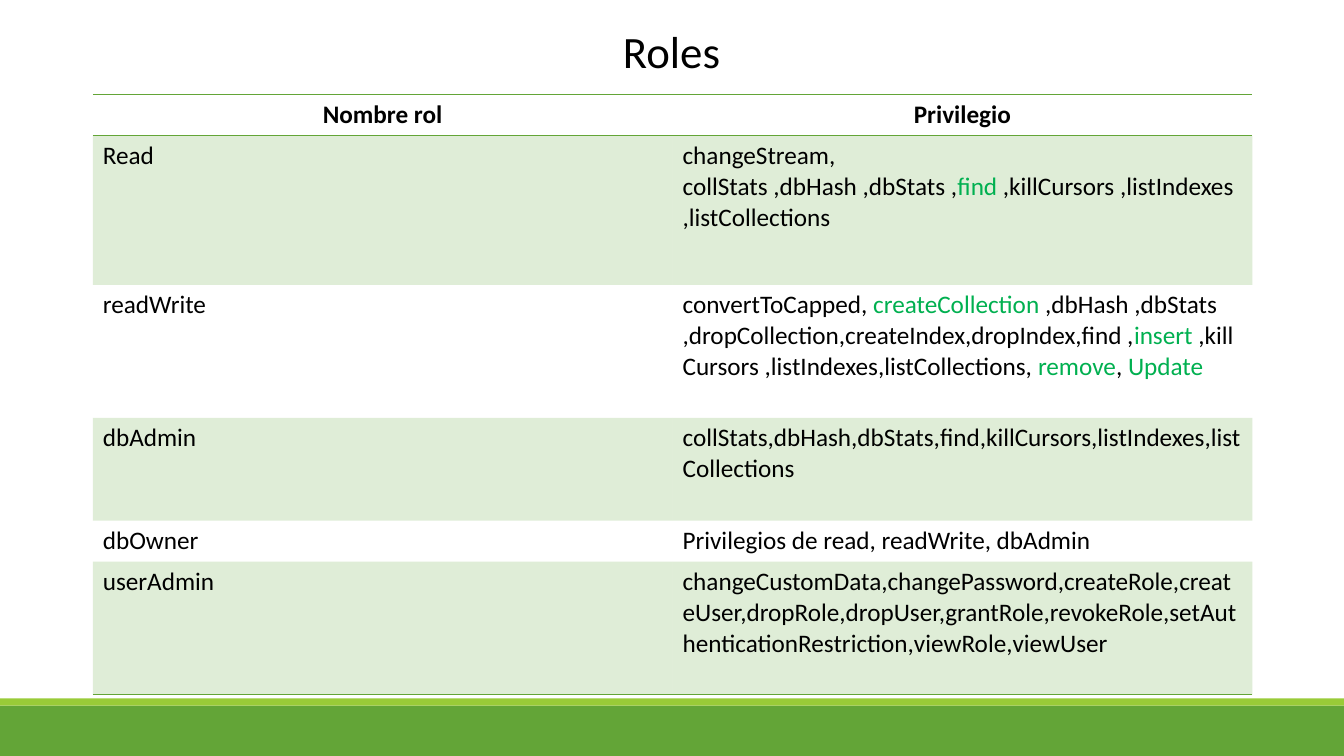
import pptx
import pptx.util
import pptx.dml.color
import pptx.enum.shapes
import pptx.enum.text
import pptx.oxml
import pptx.oxml.ns
import lxml.etree

WIDE, HIGH = 13.33, 7.5
HUES = {"green": "63A537", "lime": "99CB38", "key": "00B050", "ink": "000000"}
HEAD = ["Nombre rol", "Privilegio"]
ROLES = [
    ("Read", 1.48, ["changeStream, collStats ,dbHash ,dbStats ,*find* ,killCursors ,listIndexes ,listCollections"]),
    ("readWrite", 1.32, [
        "convertToCapped, *createCollection* ,dbHash ,dbStats",
        ",dropCollection,createIndex,dropIndex,find ,*insert* ,killCursors ,listIndexes,listCollections, *remove*, *Update*",
    ]),
    ("dbAdmin", 1.02, ["collStats,dbHash,dbStats,find,killCursors,listIndexes,listCollections"]),
    ("dbOwner", 0.4, ["Privilegios de read, readWrite, dbAdmin"]),
    ("userAdmin", 1.32, [
        "changeCustomData,changePassword,createRole,createUser,dropRole,dropUser,"
        "grantRole,revokeRole,setAuthenticationRestriction,viewRole,viewUser",
    ]),
]
PLAIN = "{2D5ABB26-0587-4C30-8999-92F81FD0307C}"


def inch(box):
    return [pptx.util.Inches(n) for n in box]


def tint(name):
    return pptx.dml.color.RGBColor.from_string(HUES[name])


def write(frame, lines, size=18, bold=False, center=False):
    for i, line in enumerate(lines):
        para = frame.add_paragraph() if i else frame.paragraphs[0]
        if center:
            para.alignment = pptx.enum.text.PP_ALIGN.CENTER
        bound = line.replace(" ,", chr(160) + ",")
        for j, part in enumerate(bound.split("*")):
            if part:
                run = para.add_run()
                run.text = part
                run.font.size = pptx.util.Pt(size)
                run.font.name = "Calibri"
                run.font.bold = bold
                run.font.color.rgb = tint("key" if j % 2 else "ink")


def edge(cell, side):
    line = lxml.etree.SubElement(
        cell._tc.get_or_add_tcPr(), pptx.oxml.ns.qn("a:ln" + side), w="12700")
    fill = lxml.etree.SubElement(line, pptx.oxml.ns.qn("a:solidFill"))
    lxml.etree.SubElement(fill, pptx.oxml.ns.qn("a:srgbClr"), val=HUES["green"])


def shade(cell):
    cell.fill.solid()
    cell.fill.fore_color.rgb = tint("green")
    color = cell._tc.tcPr.find(".//" + pptx.oxml.ns.qn("a:srgbClr"), None)
    fill = cell._tc.tcPr.find(pptx.oxml.ns.qn("a:solidFill"))
    color = fill.find(pptx.oxml.ns.qn("a:srgbClr"))
    lxml.etree.SubElement(color, pptx.oxml.ns.qn("a:alpha"), val="20000")


def footer(slide, box):
    left, top, width, height = box
    strip = 0.07
    for name, y, tall in (("green", top + strip, height - strip), ("lime", top, strip)):
        bar = slide.shapes.add_shape(
            pptx.enum.shapes.MSO_SHAPE.RECTANGLE, *inch((left, y, width, tall)))
        bar.shadow.inherit = False
        bar.fill.solid()
        bar.fill.fore_color.rgb = tint(name)
        bar.line.fill.background()


def grid(slide, box):
    rows = [(HEAD[0], 0.4, [HEAD[1]])] + ROLES
    table = slide.shapes.add_table(len(rows), 2, *inch(box)).table
    table.horz_banding = False
    table._tbl.tblPr.find(pptx.oxml.ns.qn("a:tableStyleId")).text = PLAIN
    for col in table.columns:
        col.width = pptx.util.Inches(box[2] / 2)
    for i, (role, tall, rights) in enumerate(rows):
        table.rows[i].height = pptx.util.Inches(tall)
        for j, lines in enumerate(([role], rights)):
            cell = table.cell(i, j)
            write(cell.text_frame, lines, bold=i == 0, center=i == 0)
            if i == 0:
                edge(cell, "T")
            if i in (0, len(rows) - 1):
                edge(cell, "B")
            if i % 2:
                shade(cell)
            else:
                cell.fill.background()


def title(slide, box):
    frame = slide.shapes.add_textbox(*inch(box)).text_frame
    frame.word_wrap = False
    frame.auto_size = pptx.enum.text.MSO_AUTO_SIZE.SHAPE_TO_FIT_TEXT
    write(frame, ["Roles"], size=32)


def main():
    deck = pptx.Presentation()
    deck.slide_width, deck.slide_height = inch((WIDE, HIGH))
    slide = deck.slides.add_slide(deck.slide_layouts[6])
    footer(slide, (0, 6.93, WIDE, 0.57))
    grid(slide, (0.92, 0.94, 11.5, 5.94))
    title(slide, (6.08, 0.19, 1.17, 0.64))
    deck.save("out.pptx")


if __name__ == "__main__":
    main()
